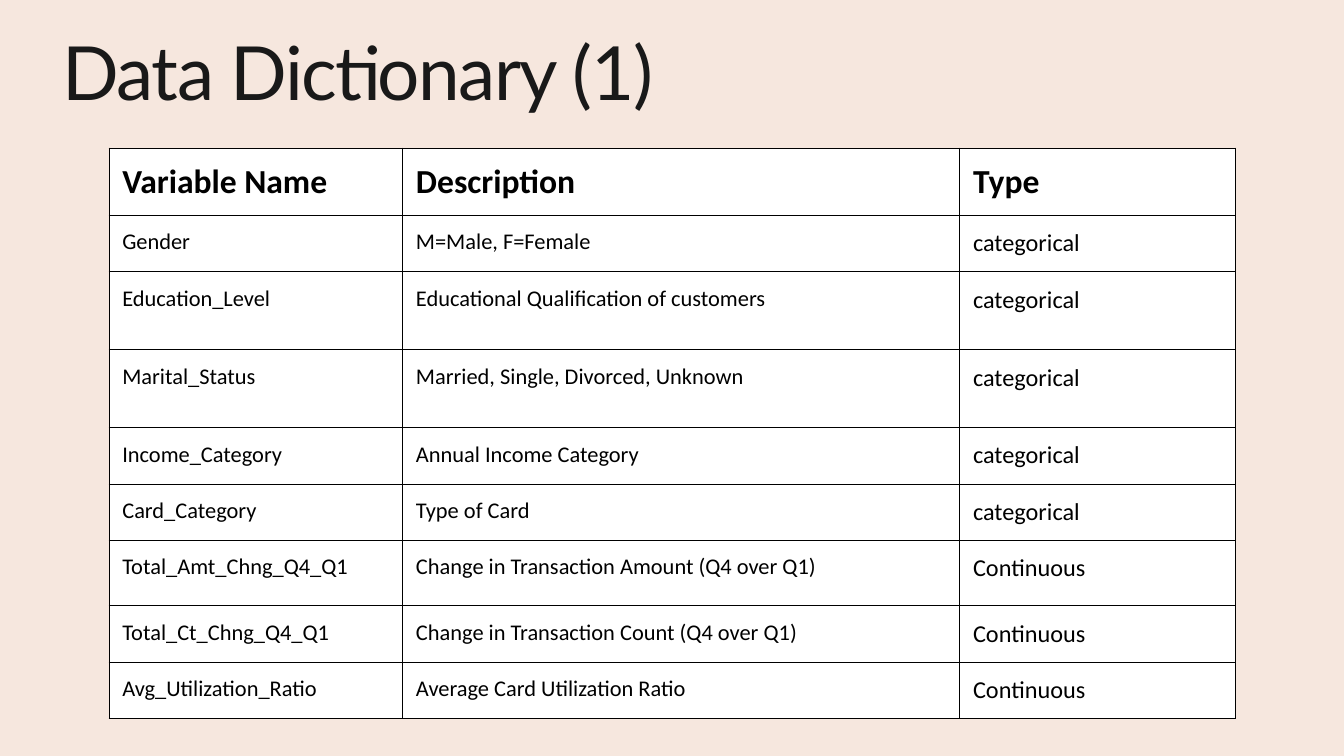
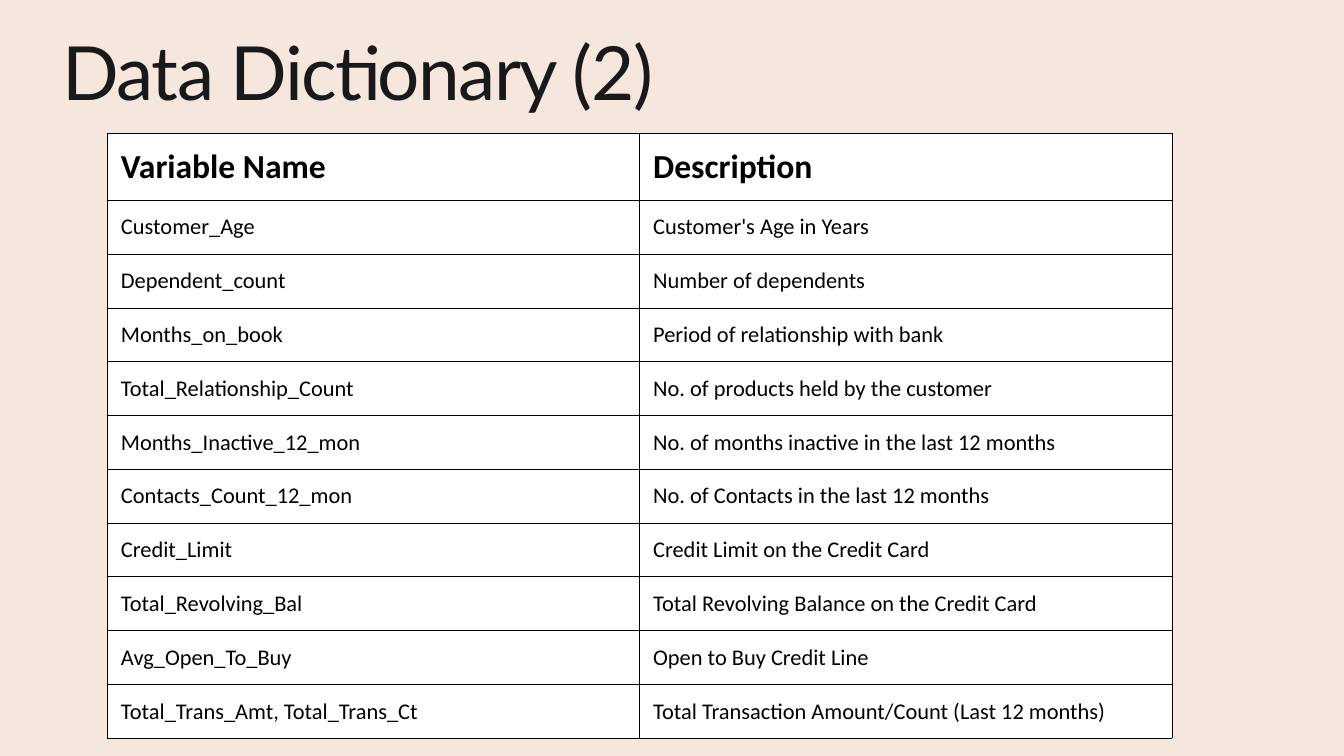
from dataclasses import dataclass

import pptx
import pptx.dml.color
import pptx.enum.text
import pptx.oxml
import pptx.oxml.ns
import pptx.util
from pptx.util import Inches


@dataclass(frozen=True)
class Theme:
    background: str = "F6E7DE"
    title_ink: str = "191919"
    table_ink: str = "000000"
    cell_fill: str = "FFFFFF"
    title_font: str = "Lato"
    table_font: str = "Calibri"
    title_size: float = 80
    title_leading: float = 96
    title_tracking: float = -1.6
    header_size: float = 36
    body_size: float = 24
    type_size: float = 26
    border_width: float = 0.75
    cell_margin: float = 0.2


THEME = Theme()


@dataclass(frozen=True)
class Column:
    heading: str
    width: float
    size: float = THEME.body_size


@dataclass(frozen=True)
class Dictionary:
    """One slide of variables; the header row is added to the entries."""
    title: str
    left: float
    top: float
    columns: list[Column]
    row_heights: list[float]
    entries: list[tuple[str, ...]]


HEADER_HEIGHT = 1.0

DICTIONARIES = [
    Dictionary(
        title="Data Dictionary (1)",
        left=1.62,
        top=2.2,
        columns=[
            Column("Variable Name", 4.37),
            Column("Description", 8.29),
            Column("Type", 4.11, THEME.type_size),
        ],
        row_heights=[0.84, 1.16, 1.16, 0.84, 0.84, 0.97, 0.84, 0.84],
        entries=[
            ("Gender", "M=Male, F=Female", "categorical"),
            ("Education_Level", "Educational Qualification of customers", "categorical"),
            ("Marital_Status", "Married, Single, Divorced, Unknown", "categorical"),
            ("Income_Category", "Annual Income Category", "categorical"),
            ("Card_Category", "Type of Card", "categorical"),
            ("Total_Amt_Chng_Q4_Q1", "Change in Transaction Amount (Q4 over Q1)", "Continuous"),
            ("Total_Ct_Chng_Q4_Q1", "Change in Transaction Count (Q4 over Q1)", "Continuous"),
            ("Avg_Utilization_Ratio", "Average Card Utilization Ratio", "Continuous"),
        ],
    ),
    Dictionary(
        title="Data Dictionary (2)",
        left=1.6,
        top=1.98,
        columns=[Column("Variable Name", 7.92), Column("Description", 7.92)],
        row_heights=[0.8] * 10,
        entries=[
            ("Customer_Age", "Customer's Age in Years"),
            ("Dependent_count", "Number of dependents"),
            ("Months_on_book", "Period of relationship with bank"),
            ("Total_Relationship_Count", "No. of products held by the customer"),
            ("Months_Inactive_12_mon", "No. of months inactive in the last 12 months"),
            ("Contacts_Count_12_mon", "No. of Contacts in the last 12 months"),
            ("Credit_Limit", "Credit Limit on the Credit Card"),
            ("Total_Revolving_Bal", "Total Revolving Balance on the Credit Card"),
            ("Avg_Open_To_Buy", "Open to Buy Credit Line"),
            ("Total_Trans_Amt, Total_Trans_Ct", "Total Transaction Amount/Count (Last 12 months)"),
        ],
    ),
]


def rgb(value: str) -> pptx.dml.color.RGBColor:
    return pptx.dml.color.RGBColor.from_string(value)


def write_text(frame, text: str, *, font: str, size: float, color: str,
               bold: bool = False, leading: float | None = None,
               tracking: float = 0, margin: float = 0) -> None:
    """Fill a text frame; leading and tracking are in points, margin in inches."""
    frame.word_wrap = True
    frame.margin_left = frame.margin_right = Inches(margin)
    frame.margin_top = frame.margin_bottom = Inches(margin)
    paragraph = frame.paragraphs[0]
    if leading is not None:
        paragraph.line_spacing = pptx.util.Pt(leading)
    run = paragraph.add_run()
    run.text = text
    run.font.name = font
    run.font.size = pptx.util.Pt(size)
    run.font.bold = bold
    run.font.color.rgb = rgb(color)
    if tracking:
        run.font._element.set("spc", str(round(tracking * 100)))


def add_borders(cell) -> None:
    properties = cell._tc.get_or_add_tcPr()
    width = pptx.util.Pt(THEME.border_width)
    for side in ("lnL", "lnR", "lnT", "lnB"):
        properties.append(pptx.oxml.parse_xml(
            f'<a:{side} {pptx.oxml.ns.nsdecls("a")} w="{width}">'
            f'<a:solidFill><a:srgbClr val="{THEME.table_ink}"/></a:solidFill>'
            f'</a:{side}>'))


def write_cell(cell, text: str, size: float, bold: bool) -> None:
    cell.margin_left = cell.margin_right = Inches(THEME.cell_margin)
    cell.margin_top = cell.margin_bottom = Inches(THEME.cell_margin)
    write_text(cell.text_frame, text, font=THEME.table_font, size=size,
               color=THEME.table_ink, bold=bold, margin=THEME.cell_margin)
    add_borders(cell)
    cell.fill.solid()
    cell.fill.fore_color.rgb = rgb(THEME.cell_fill)


def add_title(slide, title: str) -> None:
    box = slide.shapes.add_textbox(Inches(0.93), Inches(0.38), Inches(17.46), Inches(1.35))
    write_text(box.text_frame, title, font=THEME.title_font, size=THEME.title_size,
               color=THEME.title_ink, leading=THEME.title_leading,
               tracking=THEME.title_tracking)
    box.text_frame.auto_size = pptx.enum.text.MSO_AUTO_SIZE.SHAPE_TO_FIT_TEXT


def add_variables(slide, dictionary: Dictionary) -> None:
    columns = dictionary.columns
    heights = [HEADER_HEIGHT, *dictionary.row_heights]
    table = slide.shapes.add_table(
        len(heights), len(columns), Inches(dictionary.left), Inches(dictionary.top),
        Inches(sum(column.width for column in columns)), Inches(sum(heights))).table
    table.first_row = table.horz_banding = False
    for row, height in zip(table.rows, heights):
        row.height = Inches(height)
    for index, column in enumerate(columns):
        table.columns[index].width = Inches(column.width)
        write_cell(table.cell(0, index), column.heading, THEME.header_size, True)
        for number, entry in enumerate(dictionary.entries, start=1):
            write_cell(table.cell(number, index), entry[index], column.size, False)


def main() -> None:
    deck = pptx.Presentation()
    deck.slide_width, deck.slide_height = Inches(20), Inches(11.25)
    for dictionary in DICTIONARIES:
        slide = deck.slides.add_slide(deck.slide_layouts[6])
        slide.background.fill.solid()
        slide.background.fill.fore_color.rgb = rgb(THEME.background)
        add_title(slide, dictionary.title)
        add_variables(slide, dictionary)
    deck.save("out.pptx")


if __name__ == "__main__":
    main()
